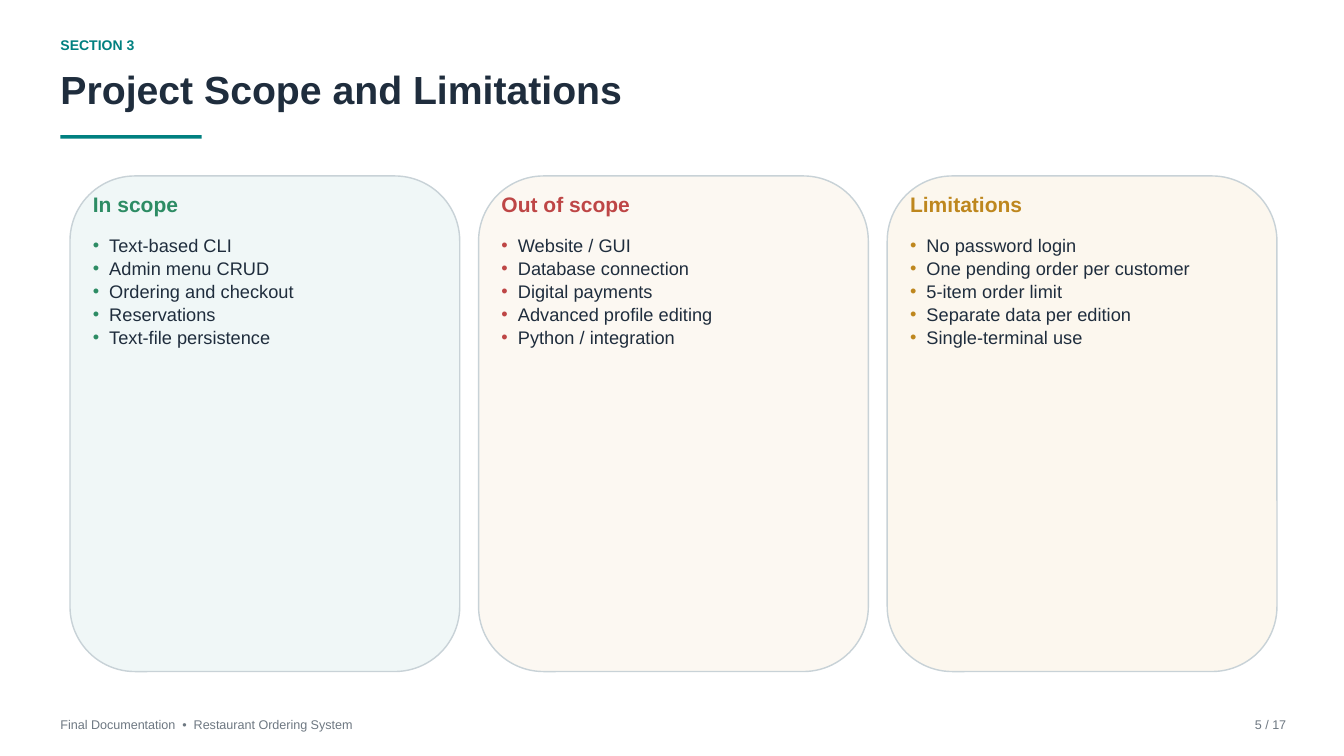
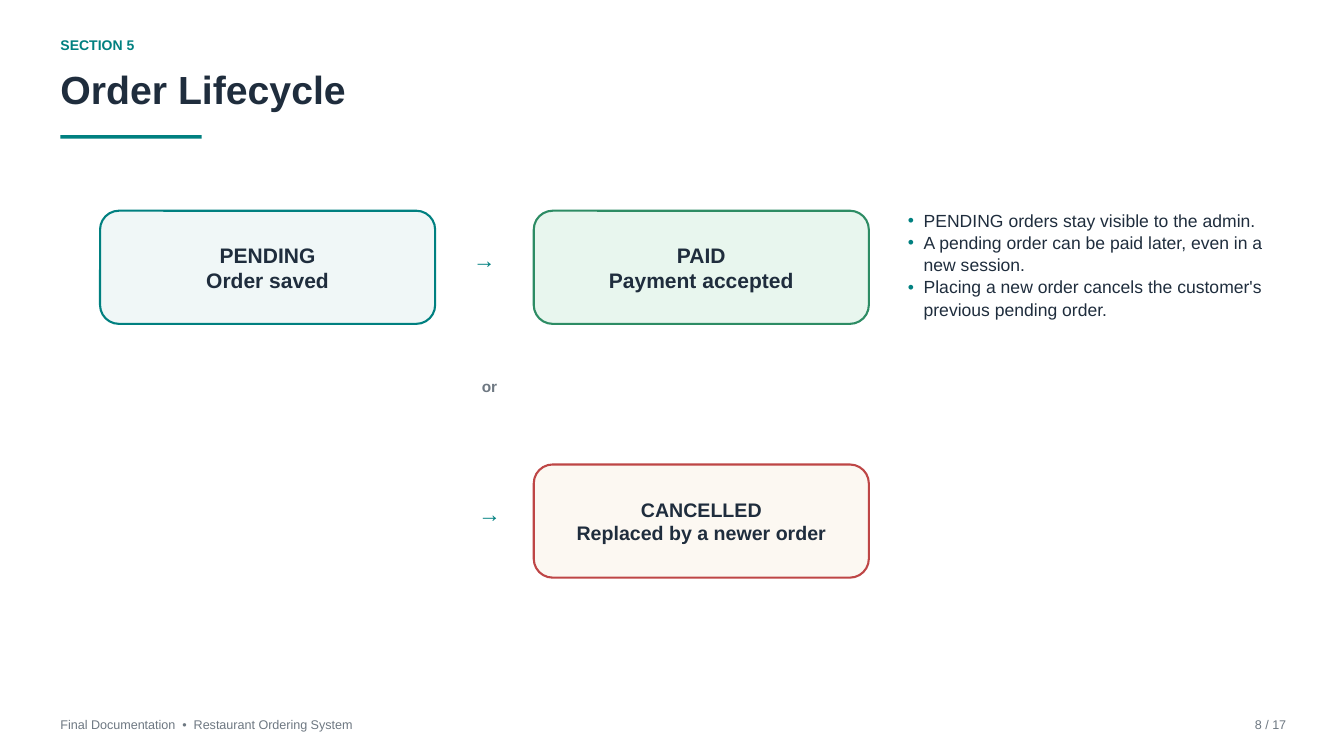
from lxml.etree import SubElement
from pptx import Presentation
from pptx.dml.color import RGBColor
from pptx.enum.shapes import MSO_SHAPE
from pptx.enum.text import MSO_ANCHOR, MSO_AUTO_SIZE, PP_ALIGN
from pptx.oxml.ns import qn
from pptx.util import Pt

FONT = "Arial"
COLORS = {
    "teal": "008080", "ink": "1F2D3D", "grey": "6E7882", "border": "C8D2D7",
    "green": "2D8C64", "red": "BE4646", "amber": "BE871E",
    "mist": "F0F7F7", "cream": "FCF8F2", "sand": "FCF7EE", "mint": "E8F6EE",
}
TITLE_ONLY, TITLE_AND_CONTENT, COMPARISON = 5, 1, 4
PAGE_COUNT = 17
MARGIN = 64.8


def color(name):
    return RGBColor.from_string(COLORS[name])


class DeckBuilder:
    def __init__(self):
        self.deck = Presentation()
        self.deck.slide_width, self.deck.slide_height = Pt(1440), Pt(810)

    def start_page(self, layout, section, title, number):
        self.page = self.deck.slides.add_slide(self.deck.slide_layouts[layout])
        self.bodies = [holder for holder in self.page.placeholders
                       if holder.placeholder_format.idx > 0]
        self.text(section, MARGIN, 39.6, 864.7, 28.8, 15, "teal", bold=True)
        heading = self.page.shapes.title
        self.place(heading, MARGIN, 69.8, 1307.5, 68.4)
        self.fill_text(heading, [title], 42, "ink", bold=True)
        self.shape(MSO_SHAPE.RECTANGLE, MARGIN, 144.7, 151.2, 3.8, "teal")
        self.text("Final Documentation  •  Restaurant Ordering System",
                  MARGIN, 768.2, 972.7, 25.2, 13.5, "grey")
        self.text(f"{number} / {PAGE_COUNT}", 1285.9, 768.2, 92.2, 25.2,
                  13.5, "grey", align=PP_ALIGN.RIGHT)

    def place(self, item, left, top, width, height):
        item.left, item.top = Pt(left), Pt(top)
        item.width, item.height = Pt(width), Pt(height)

    def fill_text(self, item, lines, size, ink, bold=False, align=PP_ALIGN.LEFT,
                  anchor=MSO_ANCHOR.TOP, inset=0, leading=1.2, bullet=None):
        frame = item.text_frame
        frame.word_wrap = True
        frame.auto_size = MSO_AUTO_SIZE.NONE
        frame.vertical_anchor = anchor
        frame.margin_left = frame.margin_right = Pt(inset)
        frame.margin_top = frame.margin_bottom = Pt(inset)
        frame.text = "\n".join(lines)
        for para in frame.paragraphs:
            para.alignment = align
            para.line_spacing = Pt(round(size * leading, 1))
            para.space_before = Pt(0)
            if bullet:
                self.bullet(para, size, bullet)
            font = para.font
            font.name, font.size, font.bold = FONT, Pt(size), bold
            font.color.rgb = color(ink)

    def bullet(self, para, size, ink):
        indent = Pt(size * 0.9)
        properties = para._p.get_or_add_pPr()
        properties.set("marL", str(indent))
        properties.set("indent", str(-indent))
        tint = SubElement(properties, qn("a:buClr"))
        SubElement(tint, qn("a:srgbClr"), val=COLORS[ink])
        SubElement(properties, qn("a:buFont"), typeface=FONT)
        SubElement(properties, qn("a:buChar"), char="•")

    def text(self, words, left, top, width, height, size, ink, **style):
        box = self.page.shapes.add_textbox(Pt(left), Pt(top), Pt(width), Pt(height))
        self.fill_text(box, [words], size, ink, **style)

    def bullets(self, lines, left, top, width, height, size, ink):
        body = self.bodies.pop(0)
        self.place(body, left, top, width, height)
        self.page.shapes._spTree.append(body._element)
        self.fill_text(body, lines, size, "ink", leading=1.26, bullet=ink)

    def shape(self, kind, left, top, width, height, fill, line=None, weight=0):
        shape = self.page.shapes.add_shape(
            kind, Pt(left), Pt(top), Pt(width), Pt(height))
        shape.shadow.inherit = False
        shape.fill.solid()
        shape.fill.fore_color.rgb = color(fill)
        if line:
            shape.line.color.rgb = color(line)
            shape.line.width = Pt(weight)
        else:
            shape.line.fill.background()
        return shape

    def card(self, left, heading, lines, fill, accent):
        self.shape(MSO_SHAPE.ROUNDED_RECTANGLE, left, 188.5, 417.6, 531,
                   fill, "border", 1.5)
        self.text(heading, left + 24.5, 205.2, 368.6, 36, 22.5, accent, bold=True)
        self.bullets(lines, left + 24.5, 249.8, 368.6, 456.5, 19.5, accent)

    def state(self, left, top, lines, fill, accent, size=22.5):
        node = self.shape(MSO_SHAPE.ROUNDED_RECTANGLE, left, top, 359, 121.2,
                          fill, accent, 2.25)
        self.fill_text(node, lines, size, "ink", bold=True, align=PP_ALIGN.CENTER,
                       anchor=MSO_ANCHOR.MIDDLE, inset=4.3)

    def link(self, words, left, top, size, ink):
        self.text(words, left, top, 75.6, 43.9, size, ink, bold=True,
                  align=PP_ALIGN.CENTER)

    def finish_page(self):
        for body in self.bodies:
            body._element.getparent().remove(body._element)


def build_scope(builder):
    builder.start_page(COMPARISON, "SECTION 3", "Project Scope and Limitations", 5)
    cards = [
        ("In scope",
         ["Text-based CLI", "Admin menu CRUD", "Ordering and checkout",
          "Reservations", "Text-file persistence"], "mist", "green"),
        ("Out of scope",
         ["Website / GUI", "Database connection", "Digital payments",
          "Advanced profile editing", "Python / integration"], "cream", "red"),
        ("Limitations",
         ["No password login", "One pending order per customer",
          "5-item order limit", "Separate data per edition",
          "Single-terminal use"], "sand", "amber"),
    ]
    for column, card in enumerate(cards):
        builder.card(75 + column * 437.8, *card)
    builder.finish_page()


def build_lifecycle(builder):
    builder.start_page(TITLE_AND_CONTENT, "SECTION 5", "Order Lifecycle", 8)
    left, right, upper, lower = 107.2, 571.9, 225.8, 497.7
    builder.state(left, upper, ["PENDING", "Order saved"], "mist", "teal")
    builder.link("→", 481, 264.2, 24, "teal")
    builder.state(right, upper, ["PAID", "Payment accepted"], "mint", "green")
    builder.link("or", 486.7, 403.9, 16.5, "grey")
    builder.link("→", 486.7, 535.7, 24, "teal")
    builder.state(right, lower, ["CANCELLED", "Replaced by a newer order"],
                  "cream", "red", size=21)
    builder.bullets(
        ["PENDING orders stay visible to the admin.",
         "A pending order can be paid later, even in a new session.",
         "Placing a new order cancels the customer's previous pending order."],
        972.7, 223.9, 388.8, 392.4, 18.8, "teal")
    builder.finish_page()


def main():
    builder = DeckBuilder()
    build_scope(builder)
    build_lifecycle(builder)
    builder.deck.save("out.pptx")


if __name__ == "__main__":
    main()
